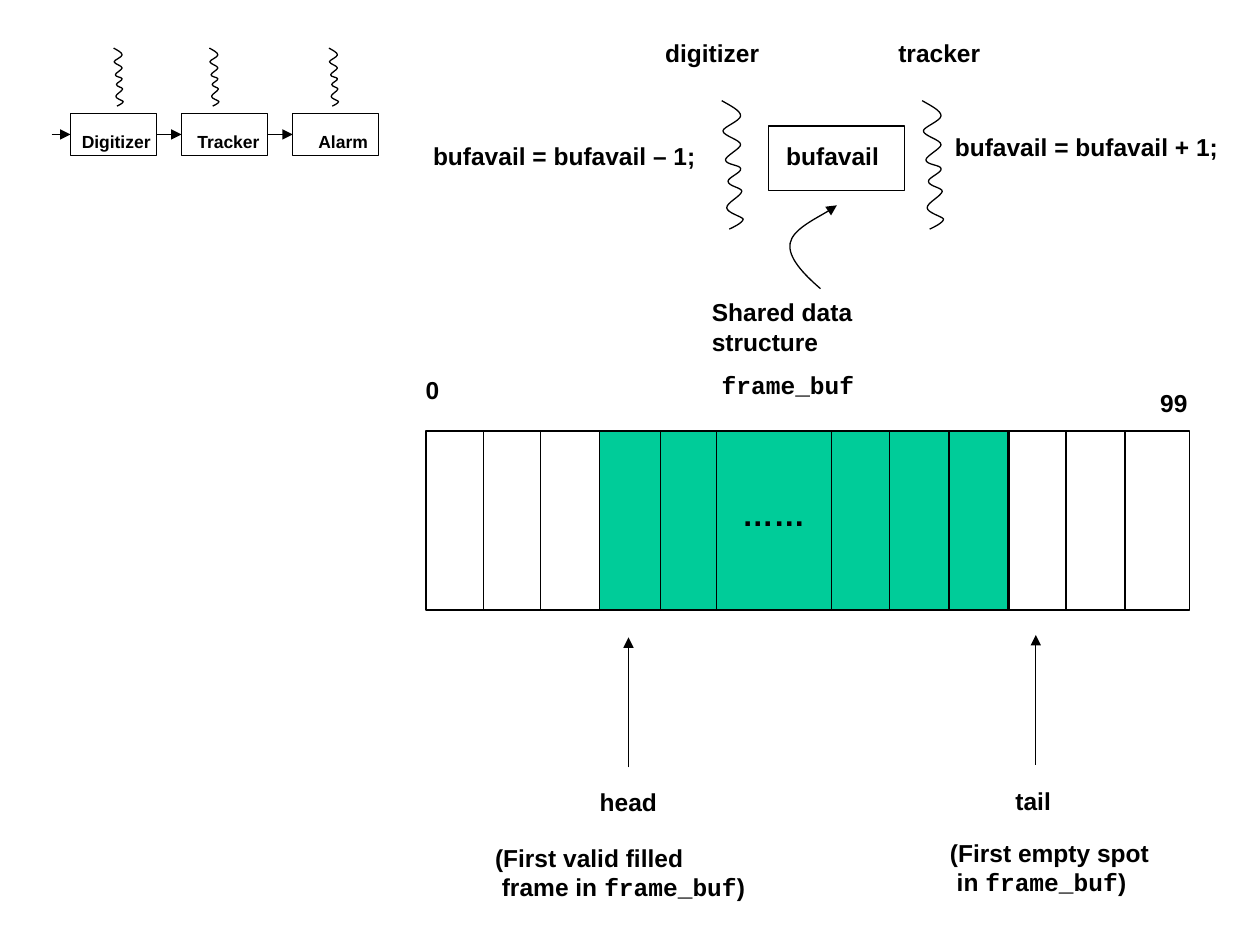
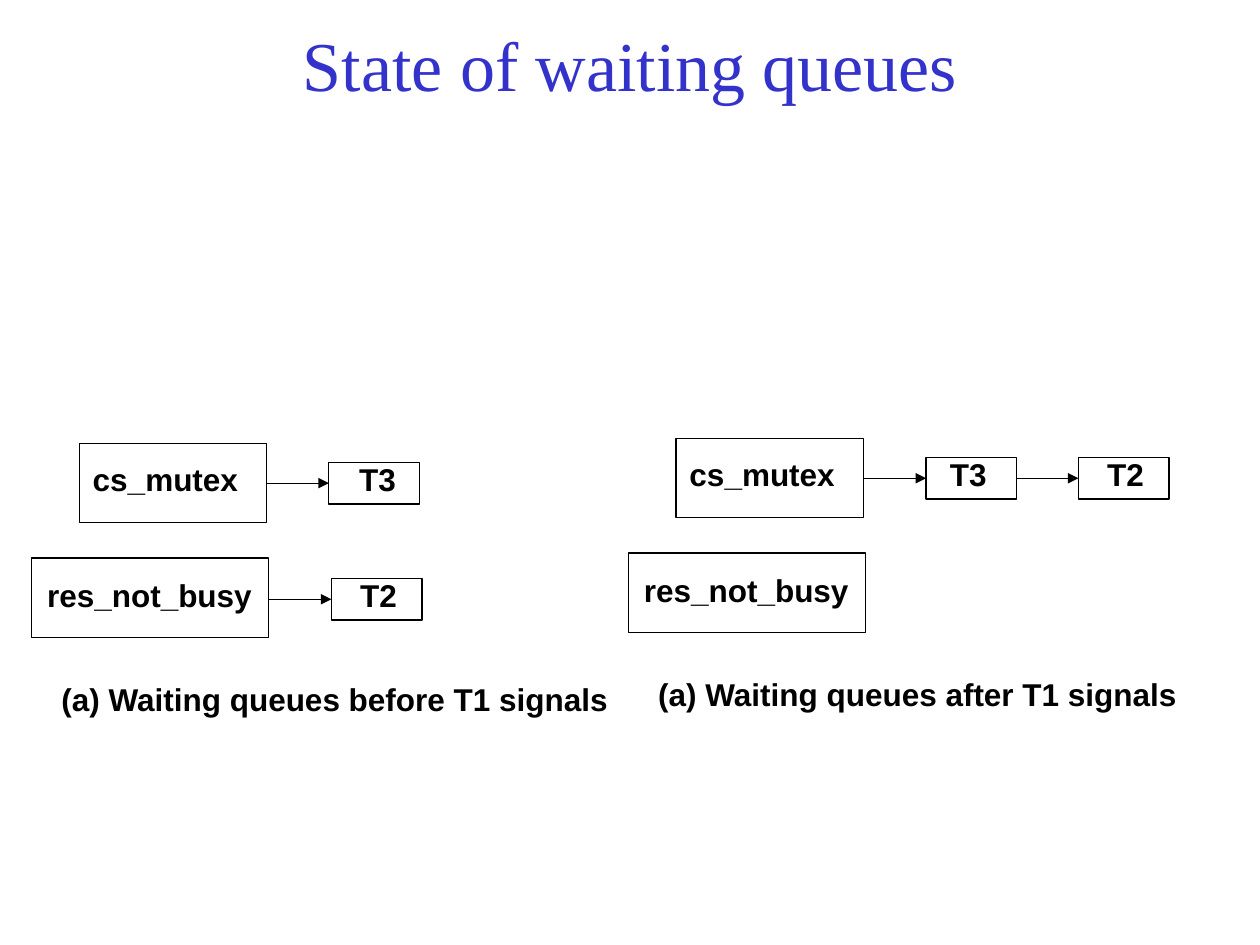
from lxml.etree import SubElement
from pptx import Presentation
from pptx.dml.color import RGBColor
from pptx.enum.shapes import MSO_CONNECTOR, MSO_SHAPE
from pptx.enum.text import MSO_ANCHOR, MSO_AUTO_SIZE, PP_ALIGN
from pptx.oxml.ns import qn
from pptx.util import Cm, Pt

BLACK, GREEN, BLUE = "000000", "00CC99", "3333CC"
CODE_WORD = "frame_buf"


def outline(shape, fill=None, arrow=False):
    """Give a shape or connector a thin black line, an optional fill and arrowhead."""
    shape.line.color.rgb = RGBColor.from_string(BLACK)
    shape.line.width = Pt(0.75)
    if fill:
        shape.fill.solid()
        shape.fill.fore_color.rgb = RGBColor.from_string(fill)
    elif hasattr(shape, "fill"):
        shape.fill.background()
    properties = shape._element.spPr
    if arrow:
        SubElement(properties.find(qn("a:ln")), qn("a:tailEnd"), type="triangle")
    SubElement(properties, qn("a:effectLst"))


def write(slide, x, y, width, text, size=14):
    """Add a bold label; the code word is set in a monospaced font."""
    lines = text.split("\n")
    height = 0.25 + 0.043 * size * len(lines)
    frame = slide.shapes.add_textbox(Cm(x), Cm(y), Cm(width), Cm(height)).text_frame
    frame.word_wrap = False
    frame.auto_size = MSO_AUTO_SIZE.SHAPE_TO_FIT_TEXT
    for number, line in enumerate(lines):
        paragraph = frame.add_paragraph() if number else frame.paragraphs[0]
        for part in filter(None, line.partition(CODE_WORD)):
            run = paragraph.add_run()
            run.text = part
            run.font.name = "Courier New" if part == CODE_WORD else "Arial"
            run.font.size = Pt(size)
            run.font.bold = True
            run.font.color.rgb = RGBColor.from_string(BLACK)


prs = Presentation()
prs.slide_width, prs.slide_height = Cm(25.4), Cm(19.05)

# Slide 1: shared buffer between digitizer and tracker
buffer_slide = prs.slides.add_slide(prs.slide_layouts[6])

boxes = [
    (15.49, 2.54, 2.74, 1.3, None),     # bufavail
    (12.09, 8.69, 8.23, 3.61, GREEN),   # filled frames
    (8.59, 8.69, 15.39, 3.61, None),    # whole buffer
]
stages = [("Digitizer", 1.4, 2.08), ("Tracker", 3.73, 1.96), ("Alarm", 6.17, 1.8)]
arrows = [(12.67, 15.47, 12.67, 12.85), (20.88, 15.42, 20.88, 12.8)]  # head, tail
for index, (stage, label_x, label_width) in enumerate(stages):
    stage_x = 1.42 + 2.24 * index
    boxes.append((stage_x, 2.29, 1.73, 0.84, None))
    arrows.append((stage_x - (0.51 if index else 0.38), 2.71, stage_x, 2.71))
    write(buffer_slide, label_x, 2.51, label_width, stage, 10)

for x, y, width, height, fill in boxes:
    box = buffer_slide.shapes.add_shape(
        MSO_SHAPE.RECTANGLE, Cm(x), Cm(y), Cm(width), Cm(height))
    outline(box, fill)

dividers = [9.75, 10.9, 12.09, 13.31, 14.45, 16.76, 17.93, 19.13, 20.35, 21.49, 22.68]
strokes = [(x, 8.69, x, 12.3, False) for x in dividers]
strokes += [(*ends, True) for ends in arrows]
for x1, y1, x2, y2, arrow in strokes:
    stroke = buffer_slide.shapes.add_connector(
        MSO_CONNECTOR.STRAIGHT, Cm(x1), Cm(y1), Cm(x2), Cm(y2))
    outline(stroke, arrow=arrow)

# Bezier control points, three per segment, starting from (0, 0)
thread_wave = [
    (7, 4), (15, 8), (15, 12), (15, 16), (1, 21), (1, 24),
    (1, 28), (15, 31), (15, 35), (15, 38), (3, 44), (3, 47),
    (3, 51), (15, 51), (15, 54), (16, 57), (5, 61), (5, 64),
    (5, 68), (16, 69), (16, 72), (15, 76), (4, 81), (4, 85),
    (4, 89), (16, 92), (17, 94), (17, 97), (8, 101), (6, 102),
]
pointer = [(-14, -12), (-26, -25), (-24, -36), (-22, -47), (7, -61), (13, -66)]
curves = [(x, 2.03, 2.59, thread_wave, False) for x in (14.55, 18.59)]
curves += [(x, 0.97, 1.17, thread_wave, False) for x in (2.29, 4.22, 6.63)]
curves.append((16.54, 5.82, 1.68, pointer, True))
for x, y, height, controls, arrow in curves:
    scale = Cm(height) / abs(controls[-1][1])
    builder = buffer_slide.shapes.build_freeform(0, 0, scale)
    builder.add_line_segments(controls, close=False)
    curve = builder.convert_to_shape(Cm(x), Cm(y))
    track = curve._element.xpath(".//a:path")[0]
    segments = track.findall(qn("a:lnTo"))
    for first in range(0, len(segments), 3):
        bezier = SubElement(track, qn("a:cubicBezTo"))
        for segment in segments[first:first + 3]:
            bezier.append(segment[0])
            track.remove(segment)
    outline(curve, arrow=arrow)

for x, y, width, text in [
    (13.16, 0.64, 2.54, "digitizer"),
    (17.86, 0.64, 2.57, "tracker"),
    (15.6, 2.72, 2.64, "bufavail"),
    (8.48, 2.72, 6.07, "bufavail = bufavail – 1;"),
    (19.0, 2.54, 6.1, "bufavail = bufavail + 1;"),
    (14.1, 5.87, 5.61, "Shared data structure"),
    (8.33, 7.44, 1.04, "0"),
    (23.14, 7.7, 1.19, "99"),
    (14.3, 7.34, 3.58, "frame_buf"),
    (11.84, 15.75, 1.93, "head"),
    (20.22, 15.72, 1.5, "tail"),
    (9.73, 16.87, 5.82, "(First valid filled\n frame in frame_buf)"),
    (18.9, 16.76, 4.52, "(First empty spot\n in frame_buf)"),
]:
    write(buffer_slide, x, y, width, text)
write(buffer_slide, 14.71, 9.86, 1.78, "……", 18)

# Slide 2: waiting queues before and after the signal
queue_slide = prs.slides.add_slide(prs.slide_layouts[5])
title = queue_slide.shapes.title
title.left, title.top, title.width, title.height = Cm(1.91), Cm(0.43), Cm(21.59), Cm(1.7)
title.text_frame.text = "State of waiting queues"
title.text_frame.vertical_anchor = MSO_ANCHOR.MIDDLE
heading = title.text_frame.paragraphs[0]
heading.alignment = PP_ALIGN.CENTER
heading.runs[0].font.name = "Times New Roman"
heading.runs[0].font.size = Pt(40)
heading.runs[0].font.color.rgb = RGBColor.from_string(BLUE)

# Each waiting thread: name, box x, box y, label x, arrow start x
panels = [
    (0, 0, "(a) Waiting queues before T1 signals", 11.56,
     [("T3", 6.63, 9.32, 6.99, 5.37), ("T2", 6.68, 11.66, 7.01, 5.41)]),
    (12.03, -0.1, "(a) Waiting queues after T1 signals", 10.97,
     [("T3", 18.67, 9.22, 18.9, 17.4), ("T2", 21.74, 9.22, 22.07, 20.5)]),
]
for dx, dy, caption, caption_width, waiting in panels:
    queue_boxes = [
        ("cs_mutex", 1.6 + dx, 8.94 + dy, 3.78, 1.6, 1.62 + dx, 9.14 + dy, 3.61),
        ("res_not_busy", 0.64 + dx, 11.25 + dy, 4.78, 1.6, 0.7 + dx, 11.48 + dy, 4.98),
    ]
    for thread, x, y, label_x, arrow_x in waiting:
        queue_boxes.append((thread, x, y, 1.83, 0.84, label_x, y - 0.18, 1.6))
        link = queue_slide.shapes.add_connector(
            MSO_CONNECTOR.STRAIGHT, Cm(arrow_x), Cm(y + 0.42), Cm(x), Cm(y + 0.42))
        outline(link, arrow=True)
    for name, x, y, width, height, label_x, label_y, label_width in queue_boxes:
        box = queue_slide.shapes.add_shape(
            MSO_SHAPE.RECTANGLE, Cm(x), Cm(y), Cm(width), Cm(height))
        outline(box)
        write(queue_slide, label_x, label_y, label_width, name, 18)
    write(queue_slide, 0.99 + dx, 13.59 + dy, caption_width, caption, 18)

prs.save("out.pptx")
